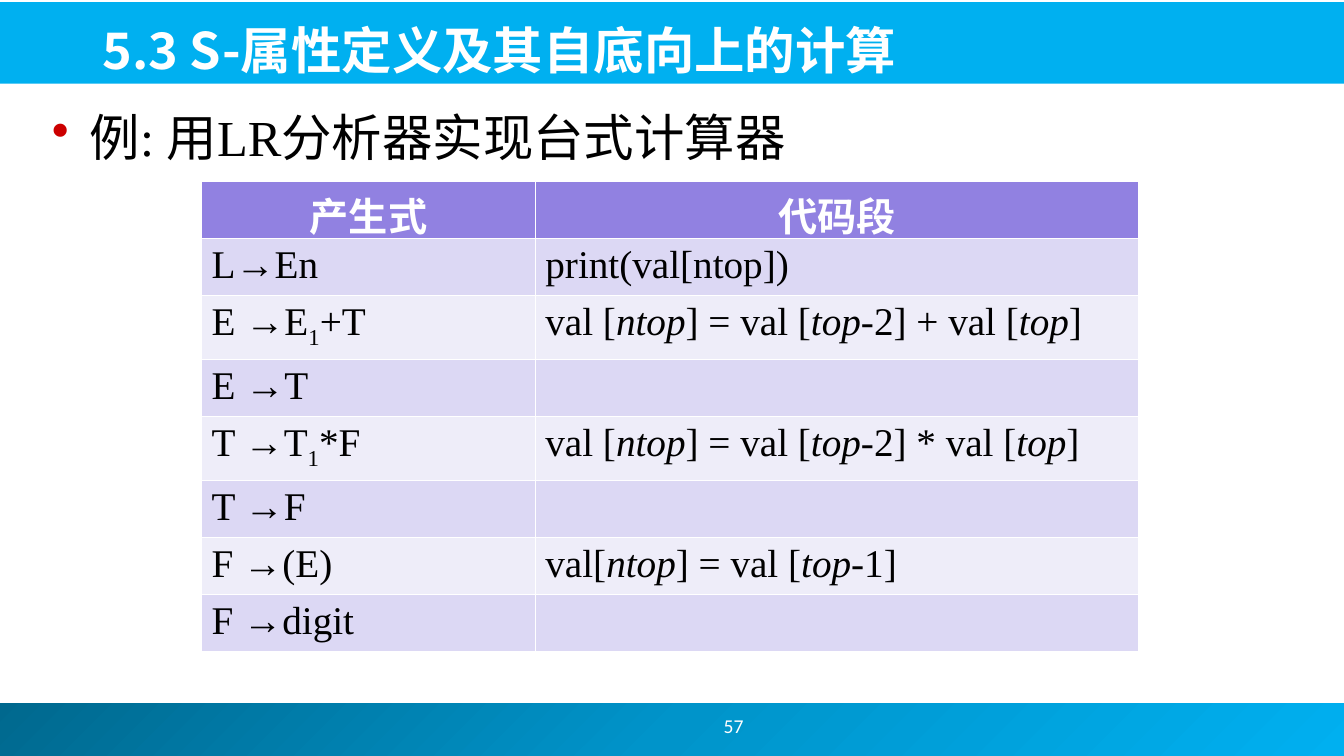
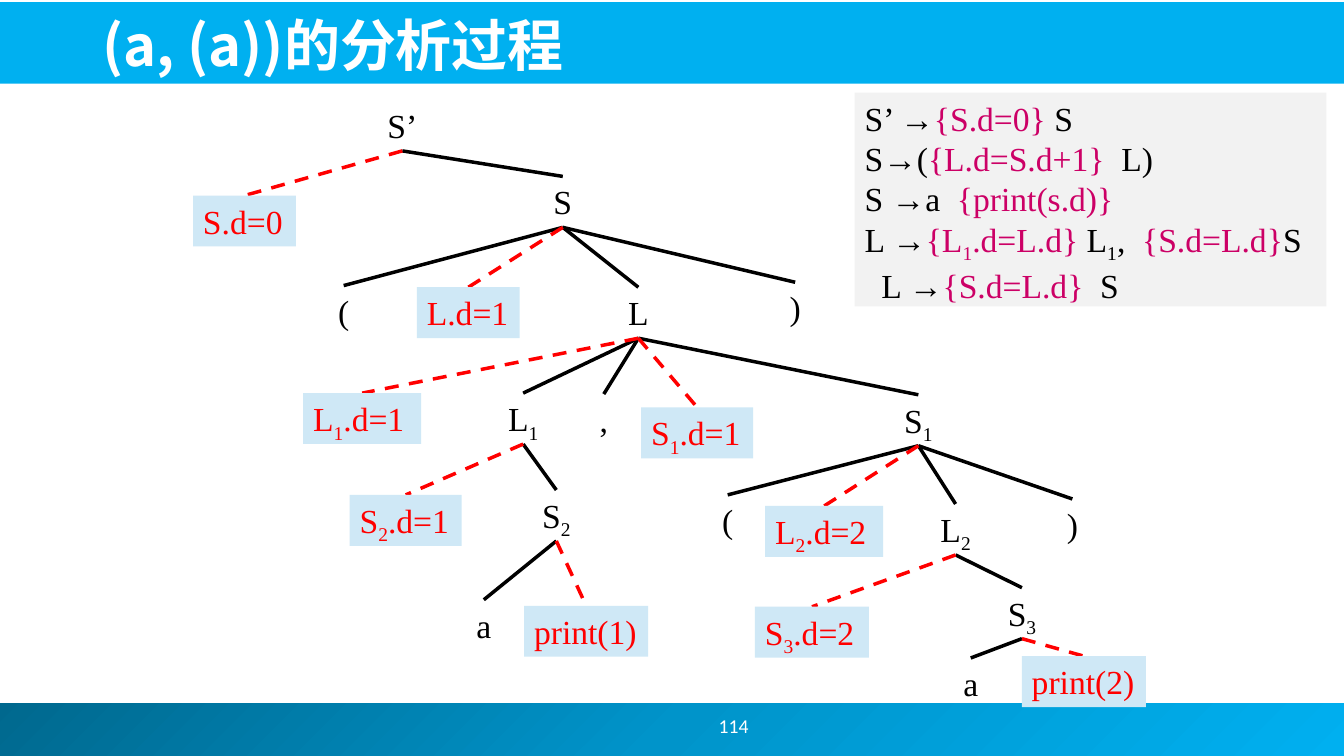
from lxml.etree import SubElement
from pptx import Presentation
from pptx.dml.color import RGBColor
from pptx.enum.dml import MSO_LINE
from pptx.enum.shapes import MSO_CONNECTOR, MSO_SHAPE
from pptx.enum.text import MSO_ANCHOR, MSO_AUTO_SIZE, PP_ALIGN
from pptx.oxml.ns import qn
from pptx.util import Pt

COLORS = {
    "white": "FFFFFF", "black": "000000", "red": "FF0000", "pink": "CC0066",
    "bullet": "CC0000", "band": "00B0F0", "band_mid": "0094CA", "band_dark": "00688E",
    "head": "9181E1", "row_dark": "DCD8F4", "row_light": "EEEDF9",
    "attribute": "CFE8F6", "rules": "F2F2F2",
}
SERIF, SANS = "Times New Roman", "Noto Sans CJK JP"
NODE_H = 36.4

PRODUCTIONS = [
    ("产生式", "代码段"),
    ("L→En", "print(val[ntop])"),
    ("E →E_1+T", "val [|ntop|] = val [|top|-2] + val [|top|]"),
    ("E →T", ""),
    ("T →T_1*F", "val [|ntop|] = val [|top|-2] * val [|top|]"),
    ("T →F", ""),
    ("F →(E)", "val[|ntop|] = val [|top|-1]"),
    ("F →digit", ""),
]
RULES = [
    "S’ →|{S.d=0} |S",
    "S→(|{L.d=S.d+1}|  L)",
    "S →a  |{print(s.d)}|",
    "L →|{L_1.d=L.d}| L_1,  |{S.d=L.d}|S",
    "L →|{S.d=L.d}|  S",
]
# key: (text, centre, top, parent)
NODES = {
    "S'": ("S’", 287.4, 71.4, None),
    "S": ("S", 402, 126, "S'"),
    "open": ("(", 245.5, 204, "S"),
    "L": ("L", 456, 205.2, "S"),
    "close": (")", 568, 201.6, "S"),
    "L1": ("L_1", 373.7, 280.8, "L"),
    "comma": (",", 431.3, 281.5, "L"),
    "S1": ("S_1", 656, 282, "L"),
    "S2": ("S_2", 397.4, 350, "L1"),
    "a": ("a", 345.6, 428.4, "S2"),
    "open1": ("(", 519.8, 353.5, "S1"),
    "L2": ("L_2", 682.6, 360, "S1"),
    "close1": (")", 766, 356.4, "S1"),
    "S3": ("S_3", 730, 419.8, "L2"),
    "a3": ("a", 693.4, 470, "S3"),
}
ATTRIBUTES = [
    ("S.d=0", 174.6, 139.7, 73.4, "S'"),
    ("L.d=1", 334.5, 205.2, 73.4, "S"),
    ("L_1.d=1", 258.7, 280.8, 84.2, "L"),
    ("S_1.d=1", 498, 291, 80, "L"),
    ("S_2.d=1", 289.8, 353.5, 80, "L1"),
    ("print(1)", 418.7, 432.7, 88.6, "S2"),
    ("L_2.d=2", 588.7, 361.4, 84.2, "S1"),
    ("S_3.d=2", 580, 433.4, 81.4, "L2"),
    ("print(2)", 774.2, 468.7, 88.6, "S3"),
]


def rgb(name):
    """Return the named colour."""
    return RGBColor.from_string(COLORS[name])


def write(p, text, size=24, font=SERIF, color="black", bold=None, align=None, alt=None):
    """Write text where |x| takes the alt format and _ lowers the next letter."""
    if align is not None:
        p.alignment = align
    for i, part in enumerate(text.split("|")):
        look = {"color": color, "italic": None, **(alt or {})} if i % 2 else {"color": color}
        first, *rest = part.split("_")
        pieces = [(first, False)]
        for piece in rest:
            pieces += [(piece[:1], True), (piece[1:], False)]
        for piece, lowered in pieces:
            if not piece:
                continue
            r = p.add_run()
            r.text = piece
            r.font.size, r.font.name, r.font.bold = Pt(size), font, bold
            r.font.italic = look.get("italic")
            r.font.color.rgb = rgb(look["color"])
            r_pr = r._r.get_or_add_rPr()
            SubElement(r_pr, qn("a:ea")).set("typeface", SANS)
            if lowered:
                r_pr.set("baseline", "-25000")


def add_box(s, x, y, w, h, fill=None, wrap=False):
    """Add a text box, filled if a colour is named, and return its frame."""
    box = s.shapes.add_textbox(Pt(x), Pt(y), Pt(w), Pt(h))
    if fill:
        box.fill.solid()
        box.fill.fore_color.rgb = rgb(fill)
    box.text_frame.word_wrap = wrap
    return box.text_frame


def add_band(s, x, y, w, h):
    """Move a plain band to the layout of the slide and return it."""
    band = s.shapes.add_shape(MSO_SHAPE.RECTANGLE, Pt(x), Pt(y), Pt(w), Pt(h))
    band.shadow.inherit = False
    band.line.fill.background()
    band.fill.solid()
    band.fill.fore_color.rgb = rgb("band")
    s.slide_layout.shapes.element.insert(2, band.element)
    return band


def add_bands(s):
    """Give the layout its title band and its shaded footer band."""
    add_band(s, -1.5, 1.5, 962, 58.3)
    footer = add_band(s, -3.5, 502.5, 964, 37.5)
    footer.fill.gradient()
    footer.fill.gradient_angle = 315
    stops = footer.element.find(".//" + qn("a:gsLst"))
    for stop in list(stops):
        stops.remove(stop)
    for pos, name in ((0, "band_dark"), (50, "band_mid"), (100, "band")):
        stop = SubElement(stops, qn("a:gs"), pos=str(pos * 1000))
        SubElement(stop, qn("a:srgbClr"), val=COLORS[name])


def add_slide(prs, title, size, top, width, number):
    """Add a slide with its title and its number."""
    s = prs.slides.add_slide(prs.slide_layouts[5])
    ph = s.shapes.title
    ph.left, ph.top, ph.width, ph.height = Pt(66), Pt(top), Pt(width), Pt(57)
    tf = ph.text_frame
    tf.auto_size, tf.word_wrap = MSO_AUTO_SIZE.NONE, True
    tf.vertical_anchor = MSO_ANCHOR.BOTTOM
    write(tf.paragraphs[0], title, size=size, font=SANS, color="white", bold=True,
          align=PP_ALIGN.LEFT)
    tf = add_box(s, 420, 500.4, 208, 36, wrap=True)
    tf.vertical_anchor = MSO_ANCHOR.MIDDLE
    write(tf.paragraphs[0], number, size=14, font="Calibri", color="white",
          align=PP_ALIGN.CENTER)
    return s


def add_bullet(s, text):
    """Add the bulleted line under the title."""
    p = add_box(s, 30, 72, 672, 48, wrap=True).paragraphs[0]
    write(p, text, size=36)
    p_pr = p._p.get_or_add_pPr()
    p_pr.set("marL", str(Pt(27)))
    p_pr.set("indent", str(-Pt(27)))
    SubElement(SubElement(p_pr, qn("a:buClr")), qn("a:srgbClr"), val=COLORS["bullet"])
    SubElement(p_pr, qn("a:buChar"), char="•")


def add_productions(s):
    """Add the table of productions and code."""
    widths, row_h = (238.4, 430.6), 40.8
    table = s.shapes.add_table(len(PRODUCTIONS), 2, Pt(144), Pt(129.6), Pt(sum(widths)),
                               Pt(row_h * len(PRODUCTIONS))).table
    for col, w in zip(table.columns, widths):
        col.width = Pt(w)
    for i, row in enumerate(PRODUCTIONS):
        fill = "head" if i == 0 else ("row_light", "row_dark")[i % 2]
        for j, text in enumerate(row):
            cell = table.cell(i, j)
            cell.fill.solid()
            cell.fill.fore_color.rgb = rgb(fill)
            write(cell.text_frame.paragraphs[0], text, size=28, bold=i == 0,
                  color="black" if i else "white",
                  align=None if i else PP_ALIGN.CENTER, alt={"italic": True})


def add_edge(s, parent, x, y, color="black", dash=None):
    """Draw a line from the foot of a parent node to a point."""
    _, px, top, _ = NODES[parent]
    line = s.shapes.add_connector(MSO_CONNECTOR.STRAIGHT, Pt(px), Pt(top + NODE_H), Pt(x), Pt(y))
    line.line.color.rgb = rgb(color)
    line.line.width = Pt(2.5)
    if dash:
        line.line.dash_style = dash
    SubElement(line.element.spPr, qn("a:effectLst"))


def add_tree(s):
    """Draw the parse tree with its attributes."""
    for text, x, y, parent in NODES.values():
        if parent:
            add_edge(s, parent, x, y)
        tf = add_box(s, x - 19, y, 38, NODE_H)
        write(tf.paragraphs[0], text, align=PP_ALIGN.CENTER)
    for text, x, y, w, parent in ATTRIBUTES:
        add_edge(s, parent, x, y, color="red", dash=MSO_LINE.DASH)
        tf = add_box(s, x - w / 2, y, w, NODE_H, fill="attribute")
        write(tf.paragraphs[0], text, color="red")


def add_rules(s):
    """List the translation rules in a shaded box."""
    tf = add_box(s, 610.5, 66.2, 337, 152.6, fill="rules", wrap=True)
    for i, rule in enumerate(RULES):
        p = tf.add_paragraph() if i else tf.paragraphs[0]
        write(p, rule, alt={"color": "pink"})
    p._p.get_or_add_pPr().set("marL", str(Pt(12)))


def main():
    """Build the two slides and save them."""
    prs = Presentation()
    prs.slide_width, prs.slide_height = Pt(960), Pt(540)
    s = add_slide(prs, "5.3 S-属性定义及其自底向上的计算", 36, 3.6, 862, "57")
    add_bands(s)
    add_bullet(s, "例: 用LR分析器实现台式计算器")
    add_productions(s)
    s = add_slide(prs, "(a, (a))的分析过程", 40, 2.2, 600, "114")
    add_tree(s)
    add_rules(s)
    prs.save("out.pptx")


if __name__ == "__main__":
    main()
